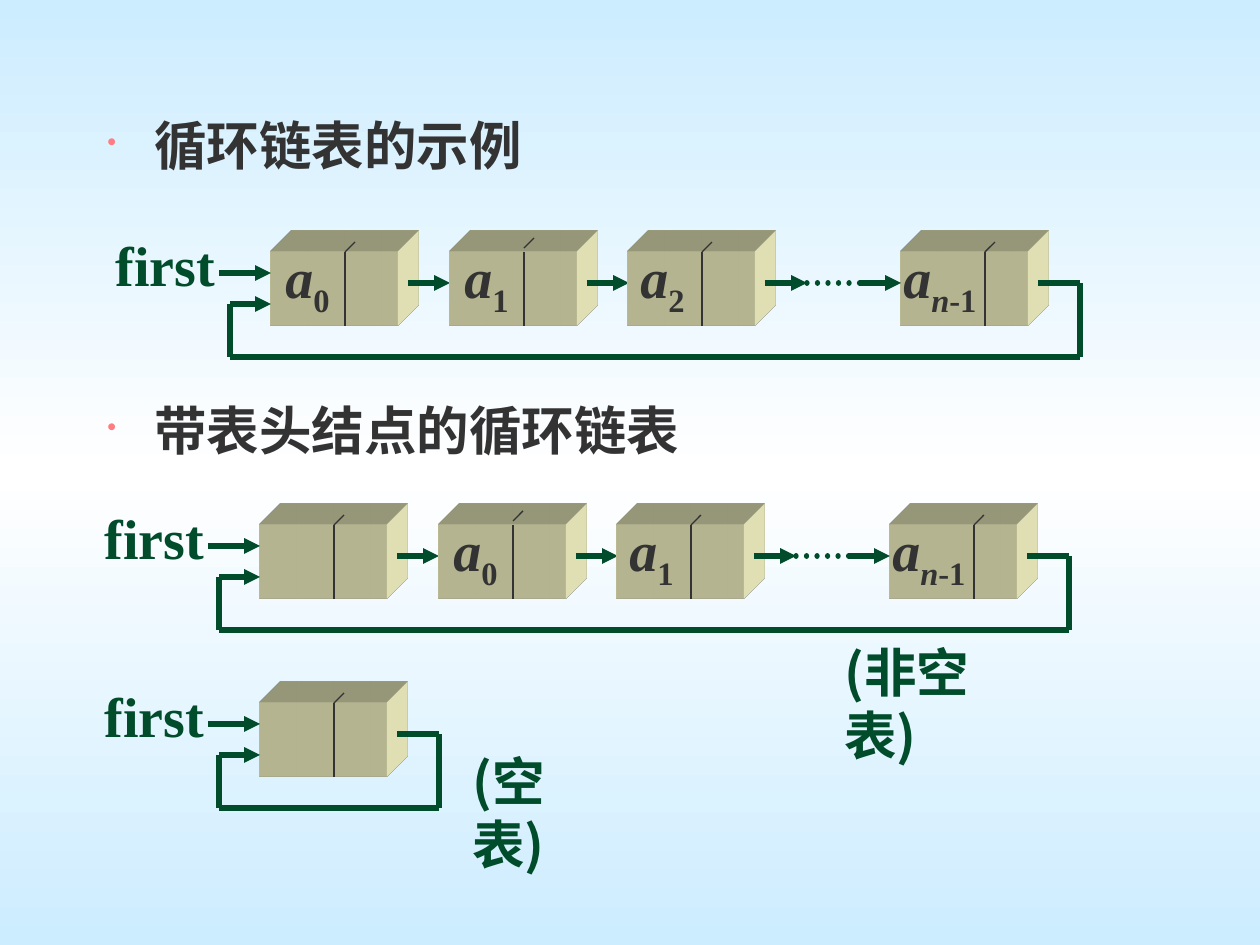
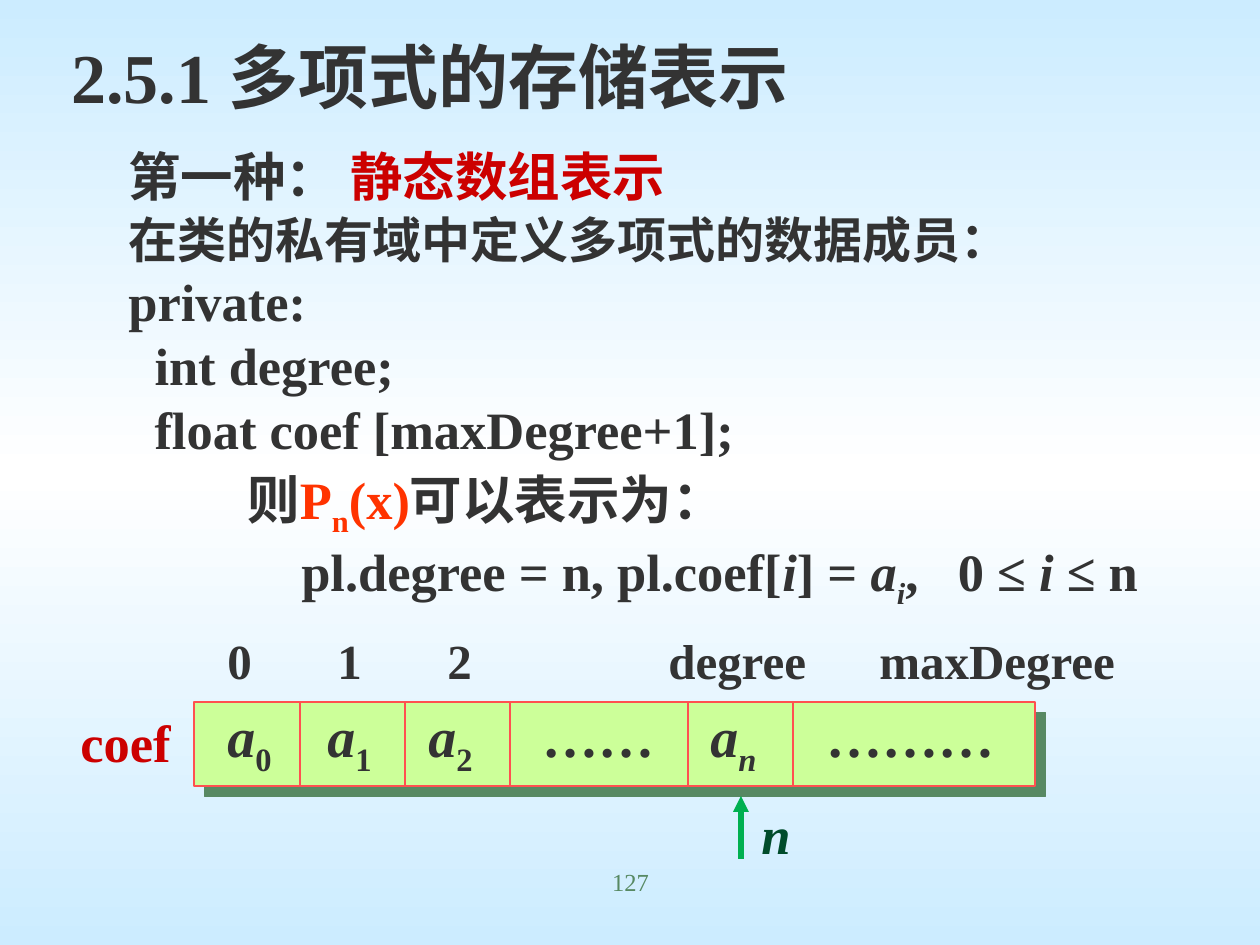
import copy
import lxml.etree
import pptx
import pptx.dml.color
import pptx.enum.dml
import pptx.enum.shapes
import pptx.enum.text
import pptx.oxml.ns
import pptx.util

PX = 7257  # EMU in one px, 126 px to the inch
FONT, HAN = "Times New Roman", "Noto Sans CJK SC"
HUES = {
    "sky": "CCECFF", "white": "FFFFFF", "ink": "333333", "green": "004C2B",
    "sage": "578963", "red": "CC0000", "flame": "FF3300", "bullet": "FF7C80",
    "cream": "FFFFCC", "lime": "CCFF99", "edge": "FF5050", "leaf": "00B050",
}
RGB = {name: pptx.dml.color.RGBColor.from_string(hue) for name, hue in HUES.items()}
qn = pptx.oxml.ns.qn
node = lxml.etree.SubElement
Pt = pptx.util.Pt
RECT = pptx.enum.shapes.MSO_SHAPE.RECTANGLE


def write(slide, box, rows, size, hue="ink"):
    """Add a text box; rows hold runs of (words, format). Return its frame."""
    frame = slide.shapes.add_textbox(*[n * PX for n in box]).text_frame
    frame.word_wrap = True
    for i, row in enumerate(rows):
        para = frame.add_paragraph() if i else frame.paragraphs[0]
        for words, more in row:
            look = {"name": FONT, "size": size, "bold": True, "hue": hue, **more}
            run = para.add_run()
            run.text = words
            run.font.color.rgb = RGB[look.pop("hue")]
            if look.pop("sub", False):
                run.font._element.set("baseline", "-25000")
            if "gap" in look:
                run.font._element.set("spc", str(look.pop("gap")))
            look["size"] = Pt(look["size"])
            for key, value in look.items():
                setattr(run.font, key, value)
            node(run.font._element, qn("a:ea"), typeface=HAN)
    return frame


def draw(slide, ends, hue="green", width=3, head=False, dots=False):
    """Add a straight line from x1, y1 to x2, y2."""
    line = slide.shapes.add_connector(
        pptx.enum.shapes.MSO_CONNECTOR.STRAIGHT, *[n * PX for n in ends])
    line.line.color.rgb = RGB[hue]
    line.line.width = Pt(width)
    if dots:
        line.line.dash_style = pptx.enum.dml.MSO_LINE.ROUND_DOT
        line.line._get_or_add_ln().set("cap", "rnd")
    if head:
        node(line.line._get_or_add_ln(), qn("a:tailEnd"), type="triangle")
    node(line._element.spPr, qn("a:effectLst"))


deck = pptx.Presentation()
deck.slide_width = pptx.util.Inches(10)
deck.slide_height = pptx.util.Inches(7.5)

# Shared background: sky, white, sky from top to bottom
master = deck.slide_master
fill = master.background.fill
fill.gradient()
fill.gradient_angle = 90
stops = next(master._element.iter(qn("a:gsLst")))
stops.append(copy.deepcopy(stops[0]))
for stop, place, hue in zip(fill.gradient_stops, (0, 0.5, 1), ("sky", "white", "sky")):
    stop.position = place
    stop.color.rgb = RGB[hue]

blank = deck.slide_layouts[6]
rings, poly = [deck.slides.add_slide(blank) for _ in range(2)]

PLAIN, SLANT = {}, {"italic": True}
SUB, LEAN = {"sub": True}, {"sub": True, "italic": True}
term = {n: [("a", SLANT), (n, SUB)] for n in "012"}
last = [("a", SLANT), ("n", LEAN), ("-1", SUB)]

# Slide 1: circular lists
for top, words in ((104, "循环链表的示例"), (389, "带表头结点的循环链表")):
    para = write(rings, (95, top, 1071, 80), [[(words, PLAIN)]], 30).paragraphs[0]
    para.line_spacing = 1.05
    props = para._p.get_or_add_pPr()
    props.set("marL", str(47 * PX))
    props.set("indent", str(-47 * PX))
    node(node(props, qn("a:buClr")), qn("a:srgbClr"), val=HUES["bullet"])
    node(props, qn("a:buSzPct"), val="50000")
    node(props, qn("a:buChar"), char="•")

WIDE, TALL = 127, 74
STARTS = (0, 179, 357, 630)
SHIFTS = (2, 2, 0, -10)  # label offsets from the left of each block
chains = (
    (271, 252, (term["0"], term["1"], term["2"], last)),
    (260, 525, (None, term["0"], term["1"], last)),
    (260, 703, (None,)),
)
for left, y, labels in chains:
    for i, (start, label) in enumerate(zip(STARTS, labels)):
        x = left + start
        block = rings.shapes.add_shape(RECT, *[n * PX for n in (x, y, WIDE, TALL)])
        block.shadow.inherit = False
        block.fill.solid()
        block.fill.fore_color.rgb = RGB["cream"]
        block.line.fill.background()
        scene = node(block._element.spPr, qn("a:scene3d"))
        node(scene, qn("a:camera"), prst="legacyObliqueTopRight")
        node(scene, qn("a:lightRig"), rig="legacyFlat3", dir="b")
        solid = node(block._element.spPr, qn("a:sp3d"),
                     extrusionH="430200", prstMaterial="legacyMatte")
        node(node(solid, qn("a:extrusionClr")), qn("a:srgbClr"), val=HUES["cream"])
        split = x + (84 if i == 3 else 74)
        lift = 4 if i == 1 else 0
        draw(rings, (split, y, split, y + TALL), "ink", 0.75)
        draw(rings, (split, y - lift, split + 10, y - lift - 10), "ink", 0.75)
        if label:
            write(rings, (x + SHIFTS[i], y - 16, 120, 80), [label], 32)
        if i + 1 < len(labels):
            draw(rings, (x + 137, y + 31, x + 179, y + 31), head=True)
    if len(labels) > 1:
        draw(rings, (left + 536, y + 31, left + 599, y + 31), dots=True)
        draw(rings, (left + 588, y + 31, left + 630, y + 31), head=True)
    back, end, low = left - 41, x + 179, y + 105
    draw(rings, (left - 52, y + 21, left, y + 21), head=True)
    draw(rings, (back, y + 52, left, y + 52), head=True)
    for ends in ((back, y + 52, back, low), (back, low, end, low),
                 (x + 137, y + 31, end, y + 31), (end, y + 31, end, low)):
        draw(rings, ends)
    write(rings, (left - 168, y - 28, 135, 79), [[("first", PLAIN)]], 32, "green")

for box, words in (((460, 743, 150, 140), "(空表)"), ((832, 634, 200, 140), "(非空表)")):
    write(rings, box, [[(words, {"name": HAN})]], 30, "green")

# Slide 2: polynomial storage
title = write(poly, (59, 29, 958, 95), [[("2.5.1 多项式的存储表示", PLAIN)]], 40)
title.vertical_anchor = pptx.enum.text.MSO_ANCHOR.BOTTOM

FLAME = {"hue": "flame"}
rows = [
    [("第一种： ", PLAIN), ("静态数组表示", {"hue": "red"})],
    [("在类的私有域中定义多项式的数据成员：", {"size": 28})],
    [("private:", PLAIN)],
    [("  int degree;", PLAIN)],
    [("  float coef [maxDegree+1];", PLAIN)],
    [("则", PLAIN), ("P", FLAME), ("n", {**FLAME, **SUB}), ("(x)", FLAME),
     ("可以表示为：", PLAIN)],
    [("pl.degree = n, pl.coef[", PLAIN), ("i", SLANT), ("] = ", PLAIN), ("a", SLANT),
     ("i", LEAN), (", ", {"gap": 750}), ("0 ≤ ", PLAIN), ("i ", SLANT), ("≤ n", PLAIN)],
]
body = write(poly, (116, 148, 1071, 480), rows, 30)
for i, para in enumerate(body.paragraphs):
    para.line_spacing = 0.85
    if i:
        para.space_before = Pt(6)
for i, inset in ((5, 119), (6, 173)):
    body.paragraphs[i]._p.get_or_add_pPr().set("indent", str(inset * PX))

EDGES = (194, 300, 405, 510, 688, 793, 1035)
TOP, LOW = 702, 786
bar = poly.shapes.add_shape(
    RECT, EDGES[0] * PX, TOP * PX, (EDGES[-1] - EDGES[0]) * PX, (LOW - TOP) * PX)
bar.shadow.inherit = False
bar.fill.solid()
bar.fill.fore_color.rgb = RGB["lime"]
bar.line.color.rgb = RGB["edge"]
bar.line.width = Pt(0.75)
shade = node(bar._element.spPr.find(qn("a:effectLst")), qn("a:outerShdw"),
             dist=str(Pt(8.5)), dir="2700000", algn="ctr", rotWithShape="0")
node(shade, qn("a:srgbClr"), val=HUES["sage"])
for x in EDGES[1:-1]:
    draw(poly, (x, TOP, x, LOW), "edge", 0.75)

cells = ((215, term["0"]), (315, term["1"]), (416, term["2"]),
         (530, [("……", PLAIN)]), (698, [("a", SLANT), ("n", LEAN)]),
         (814, [("………", PLAIN)]))
for x, label in cells:
    write(poly, (x, 695, 210, 80), [label], 32)
for x, words in ((215, "0"), (325, "1"), (435, "2"), (656, "degree"), (867, "maxDegree")):
    write(poly, (x, 624, 280, 72), [[(words, PLAIN)]], 28)

write(poly, (68, 704, 125, 76), [[("coef", PLAIN)]], 30, "red")
draw(poly, (741, 859, 741, 796), "leaf", head=True)
write(poly, (749, 796, 60, 76), [[("n", SLANT)]], 30, "green")
foot = write(poly, (431, 861, 399, 63), [[("127", {"bold": False})]], 14, "sage")
foot.paragraphs[0].alignment = pptx.enum.text.PP_ALIGN.CENTER

deck.save("out.pptx")
